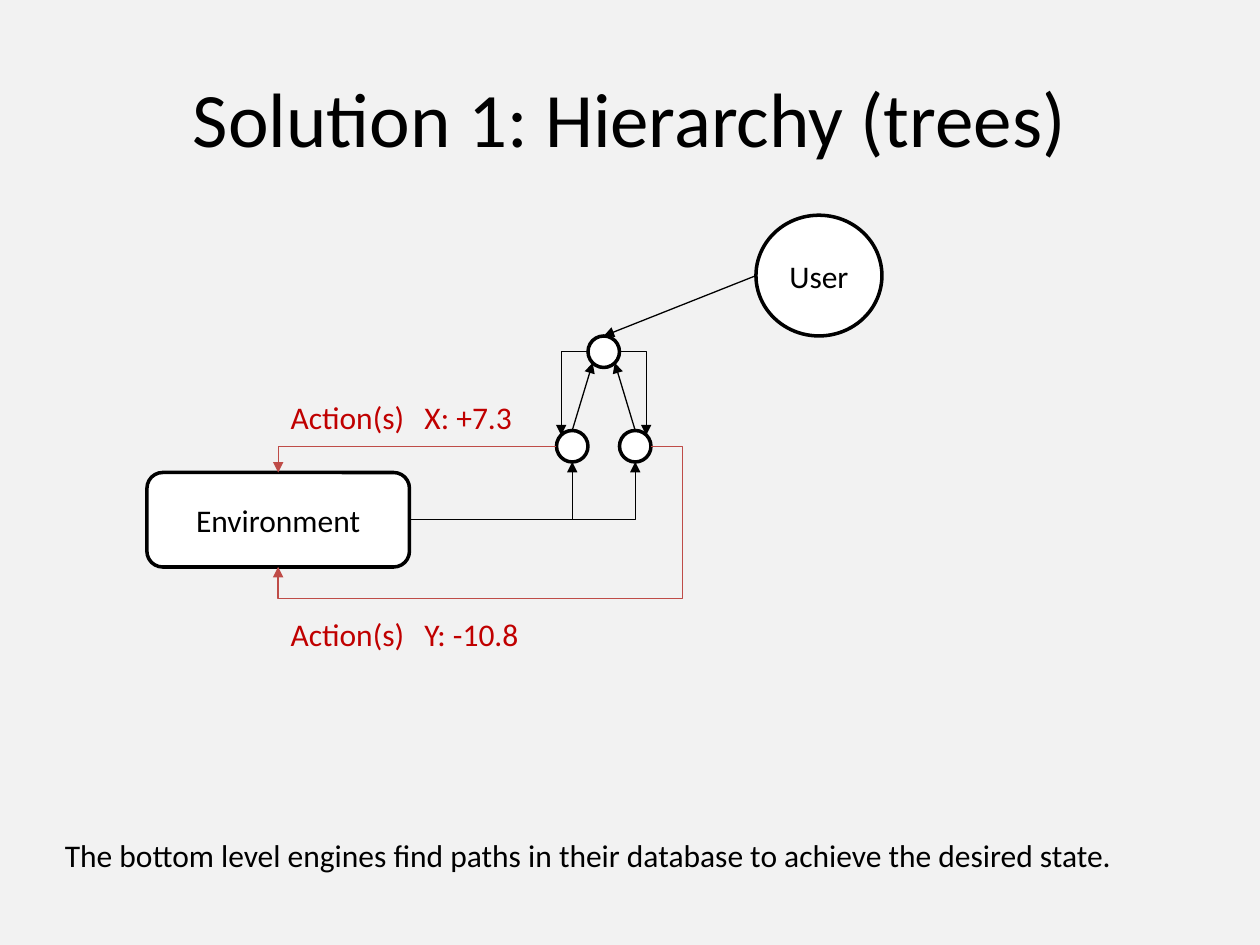
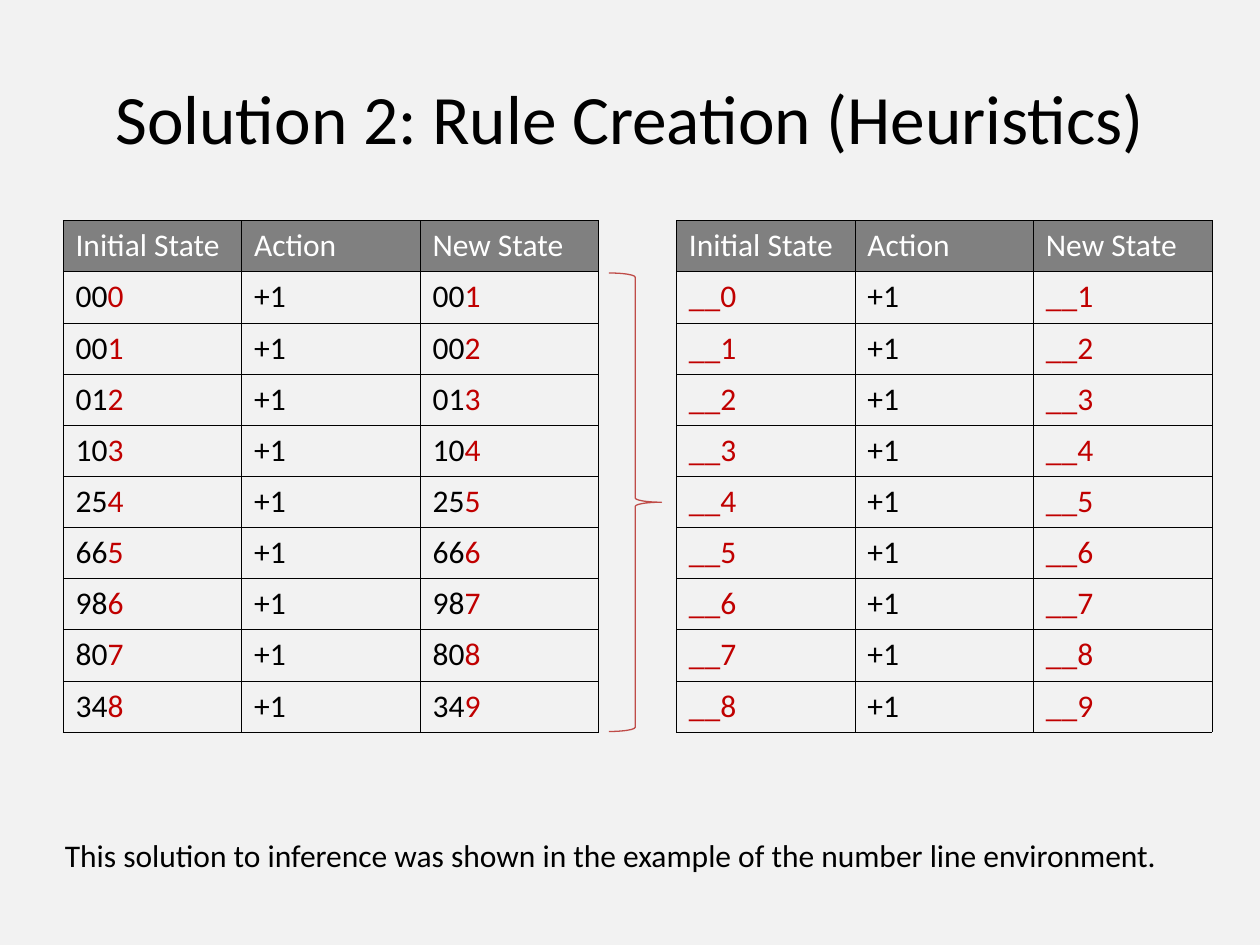
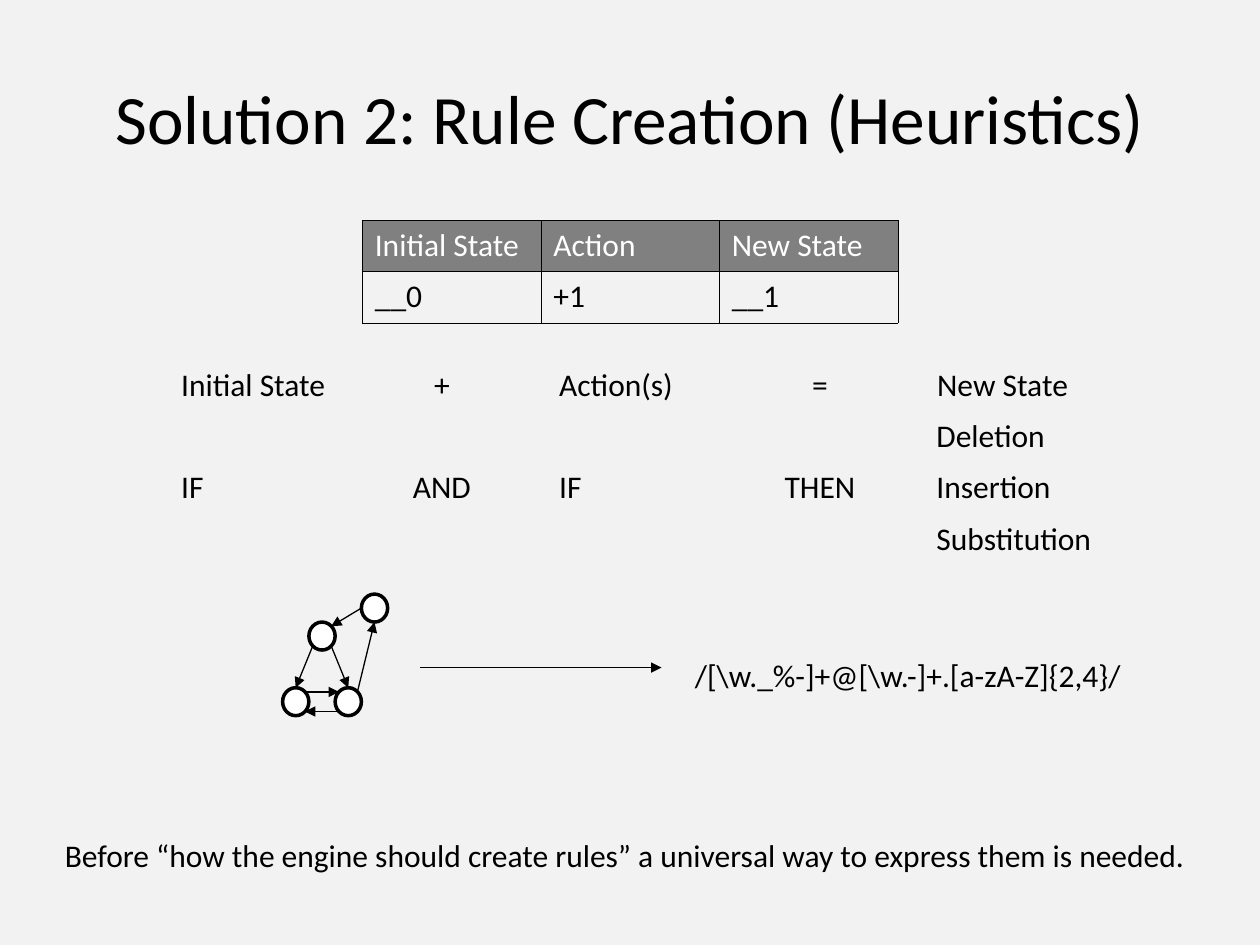
"""Build three slides on hierarchy and rule creation as solutions to inference."""
from lxml.etree import SubElement
from pptx import Presentation
from pptx.dml.color import RGBColor
from pptx.enum.shapes import MSO_CONNECTOR, MSO_SHAPE
from pptx.enum.text import MSO_ANCHOR, PP_ALIGN
from pptx.oxml import parse_xml
from pptx.oxml.ns import nsdecls, qn
from pptx.util import Pt

BLACK = RGBColor(0x00, 0x00, 0x00)
WHITE = RGBColor(0xFF, 0xFF, 0xFF)
PAPER = RGBColor(0xF2, 0xF2, 0xF2)
GRAY = RGBColor(0x80, 0x80, 0x80)
RED = RGBColor(0xC0, 0x00, 0x00)
BRICK = RGBColor(0xBF, 0x4C, 0x48)
FONT = "Calibri"
TEXT_SIZE = 18

HIERARCHY_TITLE = "Solution 1: Hierarchy (trees)"
RULES_TITLE = "Solution 2: Rule Creation (Heuristics)"
HIERARCHY_NOTE = "The bottom level engines find paths in their database to achieve the desired state."
INFERENCE_NOTE = "This solution to inference was shown in the example of the number line environment."
EXPRESSION_NOTE = "Before “how the engine should create rules” a universal way to express them is needed."

# name: (center x, center y, width, height, preset, label)
HIERARCHY_NODES = {
    "root": (345, 201, 18, 18, MSO_SHAPE.OVAL, ""),
    "left": (327, 255, 18, 18, MSO_SHAPE.OVAL, ""),
    "right": (363, 255, 18, 18, MSO_SHAPE.OVAL, ""),
    "environment": (159, 297, 150, 54, MSO_SHAPE.ROUNDED_RECTANGLE, "Environment"),
    "user": (468, 157.5, 72, 69, MSO_SHAPE.OVAL, "User"),
}
HIERARCHY_LINKS = [
    ("environment", "e", "right", "s", BLACK, "bentConnector2"),
    ("environment", "e", "left", "s", BLACK, "bentConnector2"),
    ("left", "n", "root", "sw", BLACK, None),
    ("right", "n", "root", "se", BLACK, None),
    ("user", "w", "root", "n", BLACK, None),
    ("root", "e", "right", "ne", BLACK, "bentConnector2"),
    ("root", "w", "left", "nw", BLACK, "bentConnector2"),
    ("left", "w", "environment", "n", BRICK, "bentConnector2"),
    ("right", "e", "environment", "s", BRICK, "bentConnector4"),
]
DETOUR = {"adj1": -8500, "adj2": 126100}
ACTIONS = [("Action(s)\tX: +7.3", 224), ("Action(s)\tY: -10.8", 348)]
ACTION_TABS = [(76.5, "l")]

HEADINGS = ["Initial State", "Action", "New State"]
PREFIXES = ["00", "00", "01", "10", "25", "66", "98", "80", "34"]
EXAMPLES = [
    [[(prefix, BLACK), (str(digit), RED)], [("+1", BLACK)], [(prefix, BLACK), (str(digit + 1), RED)]]
    for digit, prefix in enumerate(PREFIXES)
]
RULES = [
    [[(f"__{digit}", RED)], [("+1", BLACK)], [(f"__{digit + 1}", RED)]]
    for digit in range(len(PREFIXES))
]
SINGLE_RULE = [[[("__0", BLACK)], [("+1", BLACK)], [("__1", BLACK)]]]

FORMULA = [
    ("Initial State\t+\tAction(s)\t=\tNew State", 205),
    ("IF\tAND\tIF\tTHEN", 263.5),
]
FORMULA_TABS = [(149, "ctr"), (216, "l"), (365, "ctr"), (432, "l")]
EDITS = ["Deletion", "Insertion", "Substitution"]
PATTERN = r"/[\w._%-]+@[\w.-]+.[a-zA-Z]{2,4}/"
GRAPH_NODES = {
    name: (x, y, 15, 16, MSO_SHAPE.FLOWCHART_CONNECTOR, "")
    for name, x, y in [("middle", 184, 363.5), ("end", 199, 401), ("start", 169, 401), ("top", 214, 347.5)]
}
GRAPH_LINKS = [
    ("middle", "se", "end", "n", BLACK, None),
    ("middle", "sw", "start", "n", BLACK, None),
    ("start", "ne", "end", "nw", BLACK, None),
    ("end", "sw", "start", "se", BLACK, None),
    ("end", "ne", "top", "s", BLACK, None),
    ("top", "w", "middle", "ne", BLACK, None),
]

TABLE_TOP, COLUMN_WIDTH, ROW_HEIGHT = 126, 102, 29.23
STEPS = {"n": (0, -1), "s": (0, 1), "e": (1, 0), "w": (-1, 0)}


def style(paragraph, color=BLACK, size=TEXT_SIZE):
    paragraph.font.name = FONT
    paragraph.font.size = Pt(size)
    paragraph.font.color.rgb = color


def add_slide(prs, heading, size, note):
    slide = prs.slides.add_slide(prs.slide_layouts[5])
    title = slide.shapes.title
    title.left, title.top, title.width, title.height = Pt(36), Pt(21.6), Pt(648), Pt(90)
    title.text_frame.text = heading
    title.text_frame.vertical_anchor = MSO_ANCHOR.MIDDLE
    title.text_frame.paragraphs[0].alignment = PP_ALIGN.CENTER
    style(title.text_frame.paragraphs[0], size=size)
    add_text(slide, note, 30, 474, 662)
    return slide


def add_text(slide, text, left, top, width, color=BLACK, tabs=()):
    frame = slide.shapes.add_textbox(Pt(left), Pt(top), Pt(width), Pt(29)).text_frame
    frame.word_wrap = True
    paragraph = frame.paragraphs[0]
    paragraph.text = text
    style(paragraph, color)
    if tabs:
        stops = parse_xml(f"<a:tabLst {nsdecls('a')}/>")
        for position, alignment in tabs:
            SubElement(stops, qn("a:tab"), pos=str(int(Pt(position))), algn=alignment)
        paragraph._p.get_or_add_pPr().insert(0, stops)


def add_arrow(slide, start, finish, color=BLACK, bend=None):
    kind = MSO_CONNECTOR.ELBOW if bend else MSO_CONNECTOR.STRAIGHT
    arrow = slide.shapes.add_connector(kind, *(Pt(value) for value in start + finish))
    arrow.line.color.rgb = color
    arrow.line.width = Pt(0.75)
    properties = arrow.element.spPr
    SubElement(properties.find(qn("a:ln")), qn("a:tailEnd"), type="triangle")
    SubElement(properties, qn("a:effectLst"))
    if bend:
        geometry = properties.find(qn("a:prstGeom"))
        geometry.set("prst", bend)
        if bend == "bentConnector4":
            adjustments = geometry.find(qn("a:avLst"))
            for name, value in DETOUR.items():
                SubElement(adjustments, qn("a:gd"), name=name, fmla=f"val {value}")


def edge_point(node, side):
    x, y, width, height = node[:4]
    reach = 0.5 if len(side) == 1 else 0.35
    return (
        x + reach * width * sum(STEPS[letter][0] for letter in side),
        y + reach * height * sum(STEPS[letter][1] for letter in side),
    )


def add_network(slide, nodes, links):
    for x, y, width, height, preset, label in nodes.values():
        node = slide.shapes.add_shape(
            preset, Pt(x - width / 2), Pt(y - height / 2), Pt(width), Pt(height))
        node.shadow.inherit = False
        node.fill.solid()
        node.fill.fore_color.rgb = WHITE
        node.line.color.rgb = BLACK
        node.line.width = Pt(2)
        if label:
            node.text_frame.text = label
            node.text_frame.vertical_anchor = MSO_ANCHOR.MIDDLE
            node.text_frame.paragraphs[0].alignment = PP_ALIGN.CENTER
            style(node.text_frame.paragraphs[0])
    for source, leaving, target, entering, color, bend in links:
        add_arrow(slide, edge_point(nodes[source], leaving),
                  edge_point(nodes[target], entering), color, bend)


def add_borders(cell):
    properties = cell._tc.get_or_add_tcPr()
    for index, side in enumerate("LRTB"):
        properties.insert(index, parse_xml(
            f'<a:ln{side} {nsdecls("a")} w="{int(Pt(0.25))}"><a:solidFill>'
            f'<a:srgbClr val="{BLACK}"/></a:solidFill></a:ln{side}>'))


def add_state_table(slide, left, body):
    rows = [[[(heading, WHITE)] for heading in HEADINGS]] + body
    table = slide.shapes.add_table(
        len(rows), len(HEADINGS), Pt(left), Pt(TABLE_TOP),
        Pt(COLUMN_WIDTH * len(HEADINGS)), Pt(ROW_HEIGHT * len(rows))).table
    table.first_row = table.horz_banding = False
    for column in table.columns:
        column.width = Pt(COLUMN_WIDTH)
    for row_index, row in enumerate(rows):
        table.rows[row_index].height = Pt(ROW_HEIGHT)
        for column_index, pieces in enumerate(row):
            cell = table.cell(row_index, column_index)
            if row_index == 0:
                cell.fill.solid()
                cell.fill.fore_color.rgb = GRAY
            else:
                cell.fill.background()
            add_borders(cell)
            paragraph = cell.text_frame.paragraphs[0]
            style(paragraph, pieces[0][1])
            for text, color in pieces:
                run = paragraph.add_run()
                run.text = text
                if color != pieces[0][1]:
                    run.font.color.rgb = color


def build_hierarchy(prs):
    slide = add_slide(prs, HIERARCHY_TITLE, 44, HIERARCHY_NOTE)
    add_network(slide, HIERARCHY_NODES, HIERARCHY_LINKS)
    for action, top in ACTIONS:
        add_text(slide, action, 159, top, 150, RED, ACTION_TABS)


def build_rules(prs):
    slide = add_slide(prs, RULES_TITLE, 39.6, INFERENCE_NOTE)
    brace = slide.shapes.add_shape(
        MSO_SHAPE.RIGHT_BRACE, Pt(348), Pt(156), Pt(30), Pt(262))
    brace.adjustments[0], brace.adjustments[1] = 0.08, 0.5
    brace.shadow.inherit = False
    brace.fill.background()
    brace.line.color.rgb = BRICK
    brace.line.width = Pt(0.75)
    add_state_table(slide, 386.5, RULES)
    add_state_table(slide, 36, EXAMPLES)


def build_expression(prs):
    slide = add_slide(prs, RULES_TITLE, 39.6, EXPRESSION_NOTE)
    add_state_table(slide, 207, SINGLE_RULE)
    for line, top in FORMULA:
        add_text(slide, line, 96.5, top, 526, tabs=FORMULA_TABS)
    for index, edit in enumerate(EDITS):
        add_text(slide, edit, 528, 234 + 29.5 * index, 106)
    add_network(slide, GRAPH_NODES, GRAPH_LINKS)
    add_arrow(slide, (240, 381.5), (378, 381.5))
    add_text(slide, PATTERN, 390, 371.5, 264)


def main():
    prs = Presentation()
    prs.slide_width, prs.slide_height = Pt(720), Pt(540)
    background = prs.slide_master.background.fill
    background.solid()
    background.fore_color.rgb = PAPER
    build_hierarchy(prs)
    build_rules(prs)
    build_expression(prs)
    prs.save("out.pptx")


if __name__ == "__main__":
    main()
